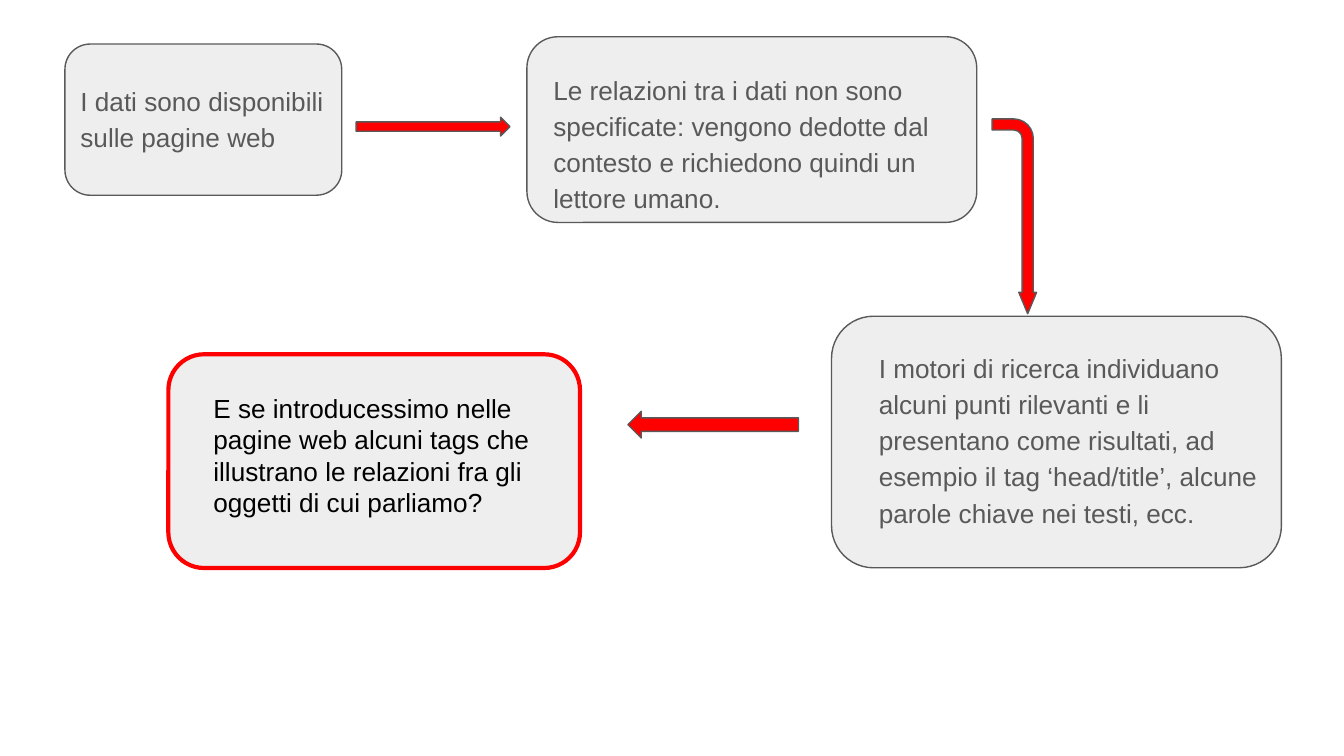
from pptx import Presentation
from pptx.dml.color import RGBColor
from pptx.enum.shapes import MSO_SHAPE
from pptx.enum.text import MSO_ANCHOR
from pptx.util import Pt

ROUNDED = MSO_SHAPE.ROUNDED_RECTANGLE
RIGHT = MSO_SHAPE.RIGHT_ARROW
LEFT = MSO_SHAPE.LEFT_ARROW
BENT = MSO_SHAPE.BENT_ARROW
TOP = MSO_ANCHOR.TOP

COLORS = {"panel": "EEEEEE", "gray": "595959", "red": "FF0000", "black": "000000"}
INSET = Pt(7.2)
FRAME = {"word_wrap": True, "vertical_anchor": TOP, "margin_left": INSET,
         "margin_right": INSET, "margin_top": INSET, "margin_bottom": INSET}
FONT = {"name": "Arial", "size": Pt(14)}
BODY = {"line_spacing": 1.15, "space_after": Pt(16)}


def color(name):
    return RGBColor.from_string(COLORS[name])


def add_shape(kind, box, fill, line, width, adjustments):
    sp = s.shapes.add_shape(kind, *map(Pt, box))
    sp.shadow.inherit = False
    sp.fill.solid()
    sp.fill.fore_color.rgb = color(fill)
    sp.line.color.rgb = color(line)
    sp.line.width = Pt(width)
    for i, value in enumerate(adjustments):
        sp.adjustments[i] = value
    return sp


prs = Presentation()
prs.slide_width, prs.slide_height = Pt(720), Pt(405)
s = prs.slides.add_slide(prs.slide_layouts[6])

# Steps: panel, text box, outline, outline width, text colour, paragraph format, text
steps = [
    ((34.8, 23.6, 148.3, 81), (36, 36, 148.3, 54), "gray", 0.75, "gray", BODY,
     "I dati sono disponibili sulle pagine web"),
    ((282.3, 19.7, 241, 99.5), (289.4, 30.2, 220.3, 89.3), "gray", 0.75, "gray", BODY,
     "Le relazioni tra i dati non sono specificate: vengono dedotte dal "
     "contesto e richiedono quindi un lettore umano."),
    ((445.5, 169.4, 241, 134.8), (463.7, 179.3, 231.8, 114.5), "gray", 0.75, "gray", BODY,
     "I motori di ricerca individuano alcuni punti rilevanti e li presentano "
     "come risultati, ad esempio il tag ‘head/title’, alcune parole chiave "
     "nei testi, ecc."),
    ((90.2, 189.8, 220.5, 114.5), (107.2, 203, 193, 89.3), "red", 2.25, "black", {},
     "E se introducessimo nelle pagine web alcuni tags che illustrano le "
     "relazioni fra gli oggetti di cui parliamo?"),
]
for panel, text_box, line, width, text_color, paragraph, text in steps:
    add_shape(ROUNDED, panel, "panel", line, width, [0.167])
    tf = s.shapes.add_textbox(*map(Pt, text_box)).text_frame
    p = tf.paragraphs[0]
    r = p.add_run()
    r.text = text
    r.font.color.rgb = color(text_color)
    for target, values in ((tf, FRAME), (p, paragraph), (r.font, FONT)):
        for name, value in values.items():
            setattr(target, name, value)

# Arrows between the steps
arrows = [
    (RIGHT, (190.8, 62.8, 82.4, 10.1), 0, [0.5, 0.5]),
    (BENT, (491.2, 104, 104.4, 23.8), 90, [0.25, 0.2, 0.48, 0.44]),
    (LEFT, (336.4, 220.3, 91.4, 14.4), 0, [0.5, 0.5]),
]
for kind, box, rotation, adjustments in arrows:
    add_shape(kind, box, "red", "gray", 0.75, adjustments).rotation = rotation

prs.save("out.pptx")
